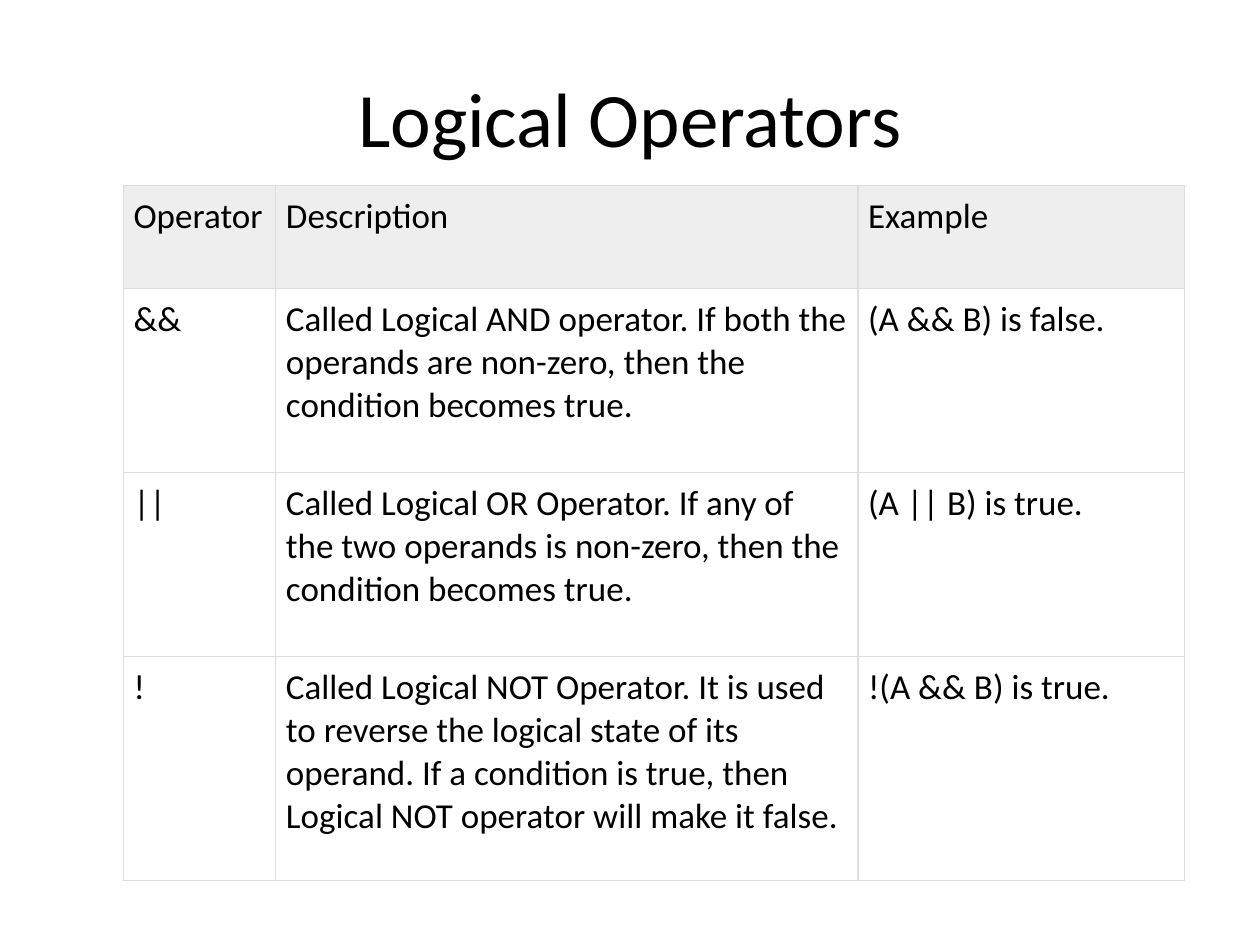
"""Build the slide on logical operators."""
from typing import NamedTuple

from lxml import etree
from pptx import Presentation
from pptx.dml.color import RGBColor
from pptx.enum import text as t
from pptx.oxml import ns
from pptx.util import Inches, Pt

HUES = {"ink": "000000", "head": "EEEEEE", "page": "FFFFFF", "rule": "DDDDDD"}
COLS = (1.21, 4.62, 2.59)
PAD = 0.08


class Row(NamedTuple):
    sign: str
    note: str
    case: str
    tall: float
    fill: str = "page"


ROWS = (
    Row("Operator", "Description", "Example", 0.82, "head"),
    Row("&&", "Called Logical AND operator. If both the operands are non-zero, "
        "then the condition becomes true.", "(A && B) is false.", 1.46),
    Row("||", "Called Logical OR Operator. If any of the two operands is non-zero, "
        "then the condition becomes true.", "(A || B) is true.", 1.46),
    Row("!", "Called Logical NOT Operator. It is used to reverse the logical state "
        "of its operand. If a condition is true, then Logical NOT operator will "
        "make it false.", "!(A && B) is true.", 1.78),
)


def write(frame, words: str, size: float = 20, align=t.PP_ALIGN.LEFT,
          anchor=t.MSO_ANCHOR.TOP, hue: str = "ink") -> None:
    frame.word_wrap = True
    frame.vertical_anchor = anchor
    para = frame.paragraphs[0]
    para.alignment = align
    run = para.add_run()
    run.text = words
    run.font.name = "Calibri"
    run.font.size = Pt(size)
    run.font.color.rgb = RGBColor.from_string(HUES[hue])


def edge(cell, hue: str = "rule", width: float = 0.75) -> None:
    props = cell._tc.get_or_add_tcPr()
    for side in ("lnL", "lnR", "lnT", "lnB"):
        line = etree.SubElement(props, ns.qn(f"a:{side}"), w=str(Pt(width)))
        fill = etree.SubElement(line, ns.qn("a:solidFill"))
        etree.SubElement(fill, ns.qn("a:srgbClr"), val=HUES[hue])


def draw(cell, words: str, fill: str) -> None:
    cell.margin_left = cell.margin_right = Inches(PAD)
    cell.margin_top = cell.margin_bottom = Inches(PAD)
    write(cell.text_frame, words)
    edge(cell)
    cell.fill.solid()
    cell.fill.fore_color.rgb = RGBColor.from_string(HUES[fill])


def build() -> None:
    deck = Presentation()
    deck.slide_width, deck.slide_height = Inches(10), Inches(7.5)
    slide = deck.slides.add_slide(deck.slide_layouts[5])

    title = slide.shapes.title
    title.left, title.top = Inches(0.5), Inches(0.3)
    title.width, title.height = Inches(9), Inches(1.25)
    write(title.text_frame, "Logical Operators", size=44,
          align=t.PP_ALIGN.CENTER, anchor=t.MSO_ANCHOR.MIDDLE)

    grid = slide.shapes.add_table(
        len(ROWS), len(COLS), Inches(0.98), Inches(1.47),
        Inches(sum(COLS)), Inches(sum(row.tall for row in ROWS))).table
    for col, wide in zip(grid.columns, COLS):
        col.width = Inches(wide)
    for line, row in zip(grid.rows, ROWS):
        line.height = Inches(row.tall)
        for cell, words in zip(line.cells, (row.sign, row.note, row.case)):
            draw(cell, words, row.fill)

    deck.save("out.pptx")


build()
